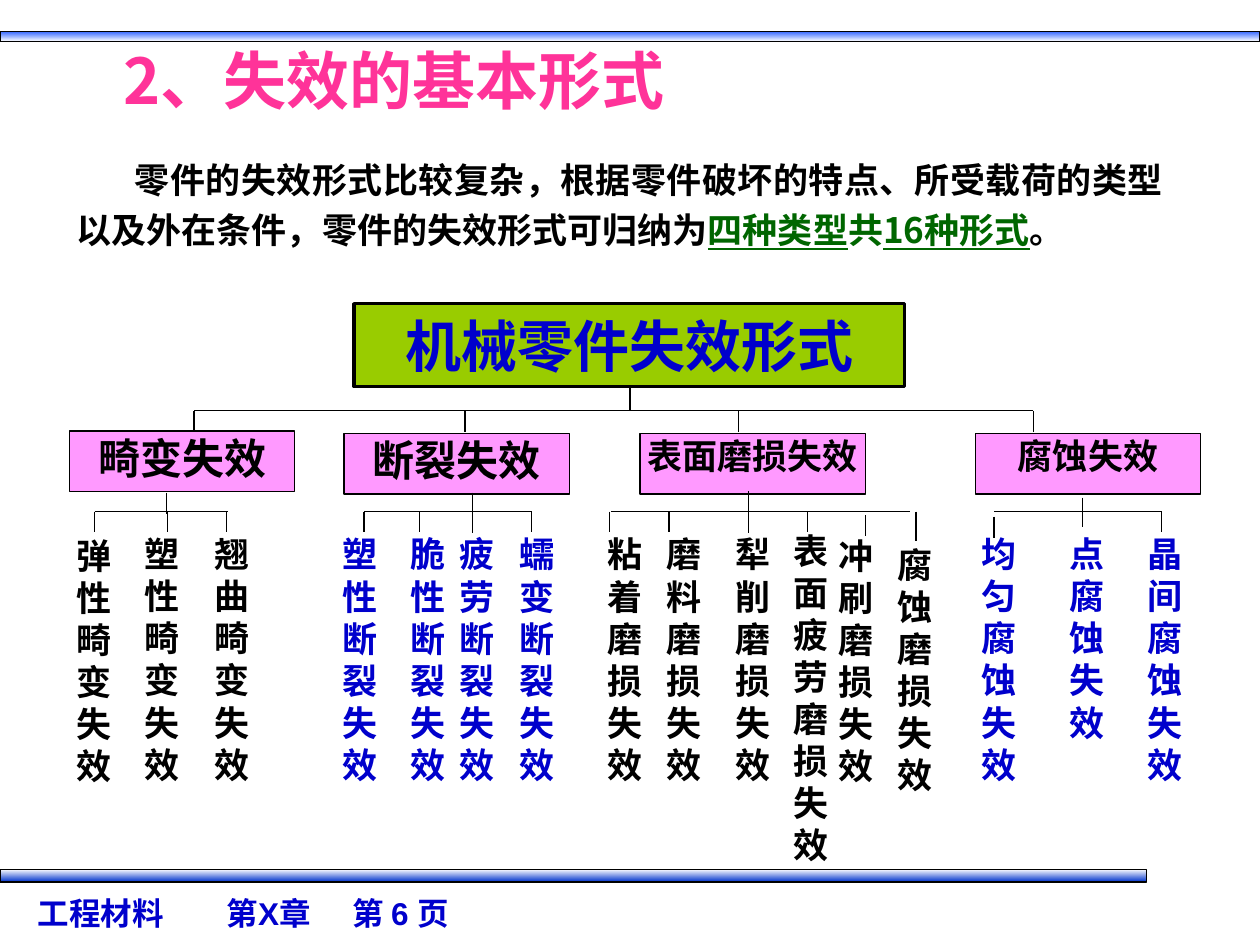
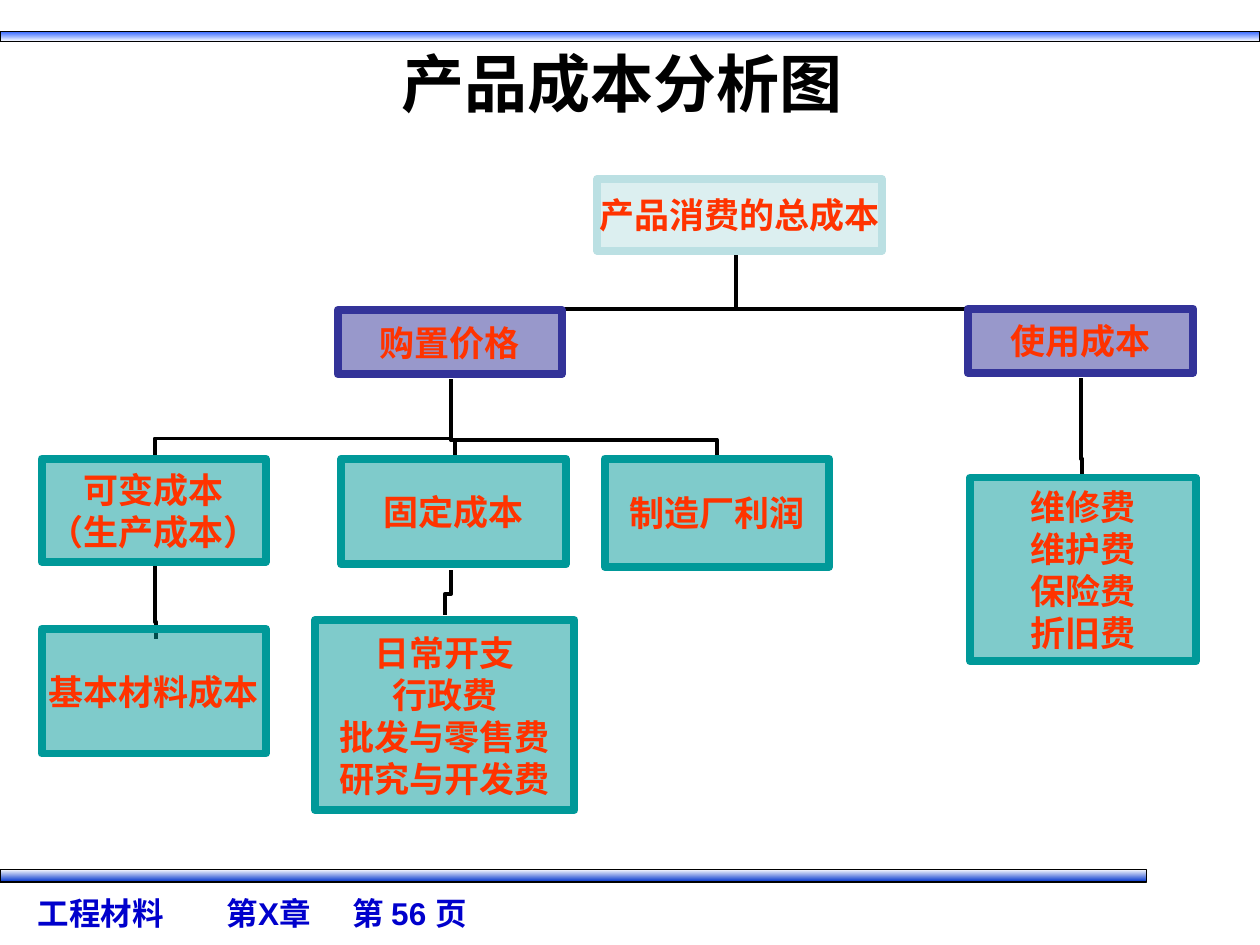
from dataclasses import dataclass

import pptx
import pptx.dml.color
import pptx.enum.shapes
import pptx.enum.text
import pptx.oxml.ns
import pptx.util
from pptx.dml.color import RGBColor
from pptx.enum.shapes import MSO_CONNECTOR, MSO_SHAPE
from pptx.enum.text import MSO_ANCHOR, PP_ALIGN
from pptx.oxml.ns import qn
from pptx.util import Inches

# Shared look
BLACK = RGBColor(0x00, 0x00, 0x00)
WHITE = RGBColor(0xFF, 0xFF, 0xFF)
BLUE = RGBColor(0x00, 0x00, 0xCC)
BAND_TOP = RGBColor(0x33, 0x66, 0xFF)
BAND_BOTTOM = RGBColor(0x00, 0x33, 0xCC)
TITLE_PINK = RGBColor(0xFF, 0x33, 0x99)
GREEN = RGBColor(0x00, 0x66, 0x00)
LIME = RGBColor(0x99, 0xCC, 0x00)
PINK = RGBColor(0xFF, 0x99, 0xFF)
PALE = RGBColor(0xBB, 0xE0, 0xE3)
INDIGO = RGBColor(0x33, 0x33, 0x99)
TEAL = RGBColor(0x00, 0x99, 0x99)
ORANGE = RGBColor(0xFF, 0x33, 0x00)
CJK = "Noto Sans CJK SC"
LATIN = "Arial"

# Failure tree rows
BUS_Y = 4.06
LEAF_Y = 4.22


@dataclass
class Leaf:
    text: str
    left: float
    tick: float | None = None
    top: float = LEAF_Y
    width: float = 0.4
    tick_top: float = BUS_Y
    tick_end: float = LEAF_Y


@dataclass
class Branch:
    heading: str
    left: float
    top: float
    size: int
    entry: float
    stem: tuple[float, float, float]
    bus: tuple[float, float]
    leaf_color: RGBColor
    leaf_height: float
    leaves: list[Leaf]


@dataclass
class Node:
    text: str
    box: tuple[float, float, float, float]
    color: RGBColor


@dataclass
class Elbow:
    start: tuple[float, float]
    end: tuple[float, float]
    bend: float | None = None


BRANCHES = [
    Branch("畸变失效", 0.55, 3.42, 24, 1.54, (1.32, 3.91, 4.08), (0.75, 1.81),
           BLACK, 1.93, [
               Leaf("弹性畸变失效", 0.55, 0.75, top=4.23),
               Leaf("塑性畸变失效", 1.09, 1.33),
               Leaf("翘曲畸变失效", 1.64, 1.8)]),
    Branch("断裂失效", 2.73, 3.44, 24, 3.69, (3.75, 3.91, 4.23), (2.89, 4.22),
           BLUE, 2.25, [
               Leaf("塑性断裂失效", 2.66, 2.89),
               Leaf("脆性断裂失效", 3.2, 3.33),
               Leaf("疲劳断裂失效", 3.59),
               Leaf("蠕变断裂失效", 4.06, 4.22)]),
    Branch("表面磨损失效", 5.08, 3.44, 20, 5.86, (5.94, 3.9, 4.23), (4.85, 7.22),
           BLACK, 2.81, [
               Leaf("粘着磨损失效", 4.76, 4.84),
               Leaf("磨料磨损失效", 5.23, 5.31),
               Leaf("犁削磨损失效", 5.78),
               Leaf("表面疲劳磨损失效", 6.28, 6.41, top=4.19, width=0.31),
               Leaf("冲刷磨损失效", 6.64, 6.87, 4.23, 0.31, 4.09, 4.25),
               Leaf("腐蚀磨损失效", 7.11, 7.27, 4.3, 0.31, tick_end=4.29)]),
    Branch("腐蚀失效", 7.74, 3.44, 20, 8.2, (8.59, 3.95, 4.18), (7.89, 9.22),
           BLUE, 2.57, [
               Leaf("均匀腐蚀失效", 7.73, 7.89, tick_top=4.1, tick_end=4.27),
               Leaf("点腐蚀失效", 8.43),
               Leaf("晶间腐蚀失效", 9.05, 9.22)]),
]

NODES = [
    Node("产品消费的总成本", (4.74, 1.42, 2.26, 0.57), PALE),
    Node("购置价格", (2.68, 2.46, 1.78, 0.51), INDIGO),
    Node("使用成本", (7.68, 2.45, 1.79, 0.51), INDIGO),
    Node("可变成本\n（生产成本）", (0.33, 3.64, 1.78, 0.82), TEAL),
    Node("制造厂利润", (4.8, 3.64, 1.78, 0.86), TEAL),
    Node("固定成本", (2.71, 3.64, 1.78, 0.84), TEAL),
    Node("基本材料成本", (0.33, 4.99, 1.78, 0.99), TEAL),
    Node("日常开支\n行政费\n批发与零售费\n研究与开发费", (2.5, 4.92, 2.06, 1.51), TEAL),
    Node("维修费\n维护费\n保险费\n折旧费", (7.7, 3.79, 1.79, 1.46), TEAL),
]

# Cost links run from the lower node up to the higher one
ELBOWS = [
    Elbow((8.59, 3.79), (8.58, 3.0), 0.19),
    Elbow((3.53, 4.88), (3.58, 4.52), 0.46),
    Elbow((1.24, 5.07), (1.23, 4.49), 0.23),
    Elbow((3.61, 3.64), (3.58, 3.01), 0.24),
    Elbow((5.69, 3.64), (3.58, 3.01), 0.24),
    Elbow((1.23, 3.61), (3.59, 3.48)),
]


# Text helpers
def style_run(r, size: float, color: RGBColor, font: str = CJK) -> None:
    r.font.size = pptx.util.Pt(size)
    r.font.bold = True
    r.font.color.rgb = color
    r.font.name = font
    r.font._element.makeelement
    ea = r.font._element.makeelement(qn("a:ea"), {"typeface": CJK})
    r.font._element.find(qn("a:latin")).addnext(ea)


def set_text(sp, text: str, size: float, color: RGBColor, font: str = CJK,
             align=PP_ALIGN.CENTER, anchor=MSO_ANCHOR.TOP,
             inset: float | None = None, wrap: bool = True) -> None:
    tf = sp.text_frame
    tf.text = text
    tf.word_wrap = wrap
    tf.vertical_anchor = anchor
    if inset is not None:
        tf.margin_left = tf.margin_right = Inches(inset)
        tf.margin_top = tf.margin_bottom = Inches(inset)
    for p in tf.paragraphs:
        p.alignment = align
        for r in p.runs:
            style_run(r, size, color, font)


# Shape helpers
def add_box(s, box: tuple[float, float, float, float], line: RGBColor, width: float):
    sp = s.shapes.add_shape(MSO_SHAPE.RECTANGLE, *map(Inches, box))
    sp.shadow.inherit = False
    sp.line.color.rgb = line
    sp.line.width = pptx.util.Pt(width)
    return sp


def add_filled_box(s, box: tuple[float, float, float, float], fill: RGBColor,
                   line: RGBColor, width: float):
    sp = add_box(s, box, line, width)
    sp.fill.solid()
    sp.fill.fore_color.rgb = fill
    return sp


def add_textbox(s, box: tuple[float, float, float, float]):
    return s.shapes.add_textbox(*map(Inches, box))


def add_line(s, x1: float, y1: float, x2: float, y2: float,
             width: float = 0.75, kind=MSO_CONNECTOR.STRAIGHT):
    c = s.shapes.add_connector(kind, *map(Inches, (x1, y1, x2, y2)))
    c.line.color.rgb = BLACK
    c.line.width = pptx.util.Pt(width)
    pr = c._element.spPr
    pr.append(pr.makeelement(qn("a:effectLst"), {}))
    return c


def set_bend(c, bend: float) -> None:
    geom = c._element.spPr.find(qn("a:prstGeom"))
    guides = geom.find(qn("a:avLst"))
    if guides is None:
        guides = geom.makeelement(qn("a:avLst"), {})
        geom.append(guides)
    guides.append(guides.makeelement(
        qn("a:gd"), {"name": "adj1", "fmla": f"val {round(bend * 100000)}"}))


def add_rising_elbow(s, elbow: Elbow) -> None:
    """Draw an elbow that leaves its start vertically, by turning a flat one."""
    (x1, y1), (x2, y2) = elbow.start, elbow.end
    cx, cy = (x1 + x2) / 2, (y1 + y2) / 2
    half_w, half_h = abs(y2 - y1) / 2, abs(x2 - x1) / 2
    c = add_line(s, cx - half_w, cy - half_h, cx + half_w, cy + half_h,
                 2.25, MSO_CONNECTOR.ELBOW)
    xfrm = c._element.spPr.find(qn("a:xfrm"))
    leftward = x1 > x2
    xfrm.set("rot", str((90 if leftward else 270) * 60000))
    if leftward:
        xfrm.set("flipH", "1")
    if elbow.bend is None:
        c._element.spPr.find(qn("a:prstGeom")).set("prst", "bentConnector2")
    else:
        set_bend(c, elbow.bend)


# Slide frame: bands, footer and title
def add_band(s, box: tuple[float, float, float, float],
             first: RGBColor, last: RGBColor) -> None:
    sp = add_box(s, box, BLACK, 0.75)
    sp.fill.gradient()
    sp.fill.gradient_angle = 270
    for stop, color in zip(sp.fill.gradient_stops, (first, last)):
        stop.color.rgb = color


def add_footer(s, page: int) -> None:
    sp = add_textbox(s, (0.2, 7.05, 6.38, 0.4))
    p = sp.text_frame.paragraphs[0]
    pr = p._p.get_or_add_pPr()
    tabs = pr.makeelement(qn("a:tabLst"), {})
    for pos in (1.17, 2.07):
        tabs.append(tabs.makeelement(
            qn("a:tab"), {"pos": str(Inches(pos)), "algn": "l"}))
    pr.append(tabs)
    set_text(sp, f"工程材料\t第X章\t第 {page} 页", 18, BLUE, LATIN, PP_ALIGN.LEFT)


def add_slide(prs, page: int, title: str, box: tuple[float, float, float, float],
              color: RGBColor, anchor):
    s = prs.slides.add_slide(prs.slide_layouts[5])
    add_band(s, (0, 0.25, 10, 0.08), BAND_TOP, WHITE)
    add_band(s, (0, 6.9, 9.1, 0.1), WHITE, BAND_BOTTOM)
    add_footer(s, page)
    sp = s.shapes.title
    sp.left, sp.top, sp.width, sp.height = map(Inches, box)
    set_text(sp, title, 36, color, anchor=anchor)
    return s


# Slide: forms of failure
def add_intro(s) -> None:
    tf = add_textbox(s, (0.51, 1.14, 8.82, 0.91)).text_frame
    tf.word_wrap = True
    p = tf.paragraphs[0]
    p.alignment = PP_ALIGN.JUSTIFY
    p.line_spacing = 1.2
    p._p.get_or_add_pPr().set("indent", str(Inches(0.46)))
    parts = [
        ("零件的失效形式比较复杂，根据零件破坏的特点、所受载荷的类型以及外在条件，"
         "零件的失效形式可归纳为", BLACK, False),
        ("四种类型", GREEN, True), ("共", GREEN, False),
        ("16种形式", GREEN, True), ("。", BLACK, False),
    ]
    for text, color, underlined in parts:
        r = p.add_run()
        r.text = text
        style_run(r, 20, color)
        r.font.underline = underlined


def add_branch(s, b: Branch) -> None:
    sp = add_filled_box(s, (b.left, b.top, 1.79, 0.48), PINK, BLACK, 0.75)
    set_text(sp, b.heading, b.size, BLACK, inset=0.01)
    add_line(s, b.entry, 3.26, b.entry, 3.43)
    x, y1, y2 = b.stem
    add_line(s, x, y1, x, y2)
    add_line(s, b.bus[0], BUS_Y, b.bus[1], BUS_Y)
    for leaf in b.leaves:
        sp = add_textbox(s, (leaf.left, leaf.top, leaf.width, b.leaf_height))
        set_text(sp, leaf.text, 20, b.leaf_color, inset=0.01)
        if leaf.tick is not None:
            add_line(s, leaf.tick, leaf.tick_top, leaf.tick, leaf.tick_end)


def build_failure_slide(prs) -> None:
    s = add_slide(prs, 6, "2、失效的基本形式", (0.51, 0.28, 5.24, 0.7),
                  TITLE_PINK, MSO_ANCHOR.MIDDLE)
    add_intro(s)
    add_line(s, 5, 3.25, 5, 3.03)
    add_line(s, BRANCHES[0].entry, 3.26, BRANCHES[-1].entry, 3.26)
    for b in BRANCHES:
        add_branch(s, b)
    root = add_filled_box(s, (2.81, 2.41, 4.37, 0.66), LIME, BLACK, 1.75)
    set_text(root, "机械零件失效形式", 32, BLUE, anchor=MSO_ANCHOR.MIDDLE)


# Slide: product cost tree
def build_cost_slide(prs) -> None:
    s = add_slide(prs, 56, "产品成本分析图", (0.44, 0.3, 9, 1.25),
                  BLACK, MSO_ANCHOR.TOP)
    for elbow in ELBOWS:
        add_rising_elbow(s, elbow)
    add_line(s, 8.58, 2.45, 5.8, 2.45, 2.25)
    set_bend(add_line(s, 3.53, 2.45, 5.8, 2, 2.25, MSO_CONNECTOR.ELBOW), 1.02)
    for node in NODES:
        sp = add_filled_box(s, node.box, node.color, node.color, 4.5)
        rgb = sp._element.spPr.find(qn("a:solidFill")).find(qn("a:srgbClr"))
        rgb.append(rgb.makeelement(qn("a:alpha"), {"val": "50000"}))
        set_text(sp, node.text, 20, ORANGE, LATIN, anchor=MSO_ANCHOR.MIDDLE,
                 inset=0, wrap=False)


def main() -> None:
    prs = pptx.Presentation()
    prs.slide_width, prs.slide_height = Inches(10), Inches(7.5)
    build_failure_slide(prs)
    build_cost_slide(prs)
    prs.save("out.pptx")


if __name__ == "__main__":
    main()
